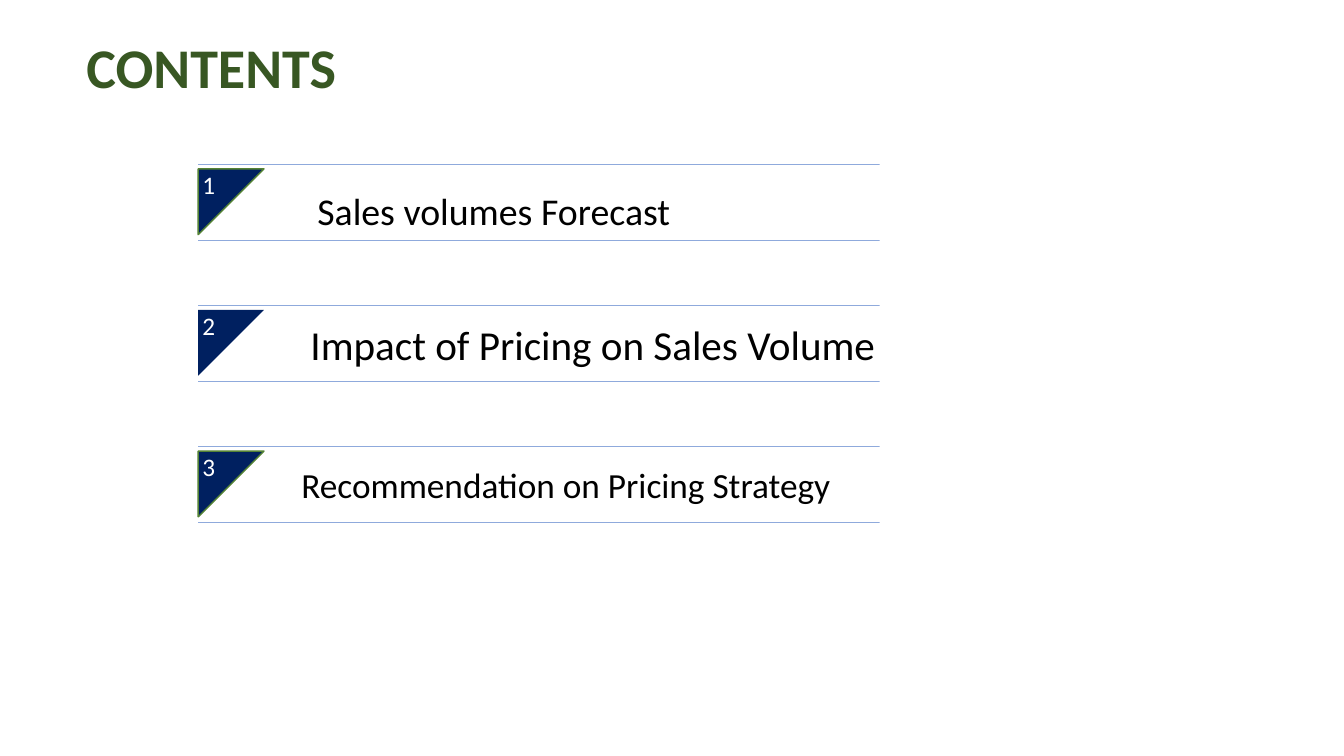
from pptx import Presentation
from pptx.dml.color import RGBColor
from pptx.enum.text import MSO_ANCHOR as Anchor, MSO_AUTO_SIZE as Fit, PP_ALIGN as Align
from pptx.util import Pt

TITLE = "CONTENTS"
# text, font size, left inset, top inset, outlined badge
ITEMS = [
    ("Sales volumes Forecast", 27, 85.1, 11.2, True),
    ("Impact of Pricing on Sales Volume", 29.4, 80.2, 1.2, False),
    ("Recommendation on Pricing Strategy", 25.2, 73.7, 0.6, True),
]

FONT = "Calibri"
NAVY = RGBColor(0x00, 0x20, 0x60)
GREEN = RGBColor(0x54, 0x82, 0x35)
DARK = RGBColor(0x38, 0x57, 0x23)
RAIL = RGBColor(0x8F, 0xAA, 0xDC)
BLACK = RGBColor(0, 0, 0)
WHITE = RGBColor(255, 255, 255)

LEFT, TOP, WIDTH, HEIGHT = 141.6, 117.4, 486.7, 54
PITCH = 100.8
BADGE, GAP = 47, 3.2


def write(shape, text, size, color, anchor, insets, align=Align.LEFT):
    frame = shape.text_frame
    frame.word_wrap = True
    frame.auto_size = Fit.NONE
    frame.vertical_anchor = anchor
    (frame.margin_left, frame.margin_top,
     frame.margin_right, frame.margin_bottom) = map(Pt, insets)
    frame.text = text
    para = frame.paragraphs[0]
    para.alignment = align
    para.font.name, para.font.size = FONT, Pt(size)
    para.font.color.rgb = color
    return para


def add_band(y):
    """Draw a row's lower and upper rail as one shape that holds its text."""
    start, end = Pt(LEFT), Pt(LEFT + WIDTH)
    low, high = Pt(y + HEIGHT), Pt(y)
    pen = shapes.build_freeform(start, low)
    pen.add_line_segments([(end, low)])
    pen.move_to(start, high)
    pen.add_line_segments([(end, high)])
    band = pen.convert_to_shape()
    band.shadow.inherit = False
    band.fill.background()
    band.line.color.rgb = RAIL
    band.line.width = Pt(0.25)
    return band


def add_badge(y, number, outlined):
    pen = shapes.build_freeform(Pt(LEFT), Pt(y))
    pen.add_line_segments([(Pt(LEFT + BADGE), Pt(y)), (Pt(LEFT), Pt(y + BADGE))])
    badge = pen.convert_to_shape()
    badge.shadow.inherit = False
    badge.fill.solid()
    badge.fill.fore_color.rgb = NAVY
    if outlined:
        badge.line.color.rgb = GREEN
        badge.line.width = Pt(1)
    else:
        badge.line.fill.background()
    write(badge, str(number), 18, WHITE, Anchor.TOP, (3, 0, 0, 0))


deck = Presentation()
deck.slide_width, deck.slide_height = Pt(960), Pt(540)
slide = deck.slides.add_slide(deck.slide_layouts[5])
shapes = slide.shapes

title = shapes.title
title.left, title.top, title.width, title.height = map(Pt, (5.4, 19.6, 290.9, 55.4))
head = write(title, TITLE, 40, DARK, Anchor.TOP, (7.2, 3.6, 7.2, 3.6), Align.CENTER)
head.font.bold = True

for row, (text, size, indent, drop, outlined) in enumerate(ITEMS):
    y = TOP + row * PITCH
    write(add_band(y), text, size, BLACK, Anchor.MIDDLE, (indent, drop, 0, 0))
    add_badge(y + GAP, row + 1, outlined)

deck.save("out.pptx")
